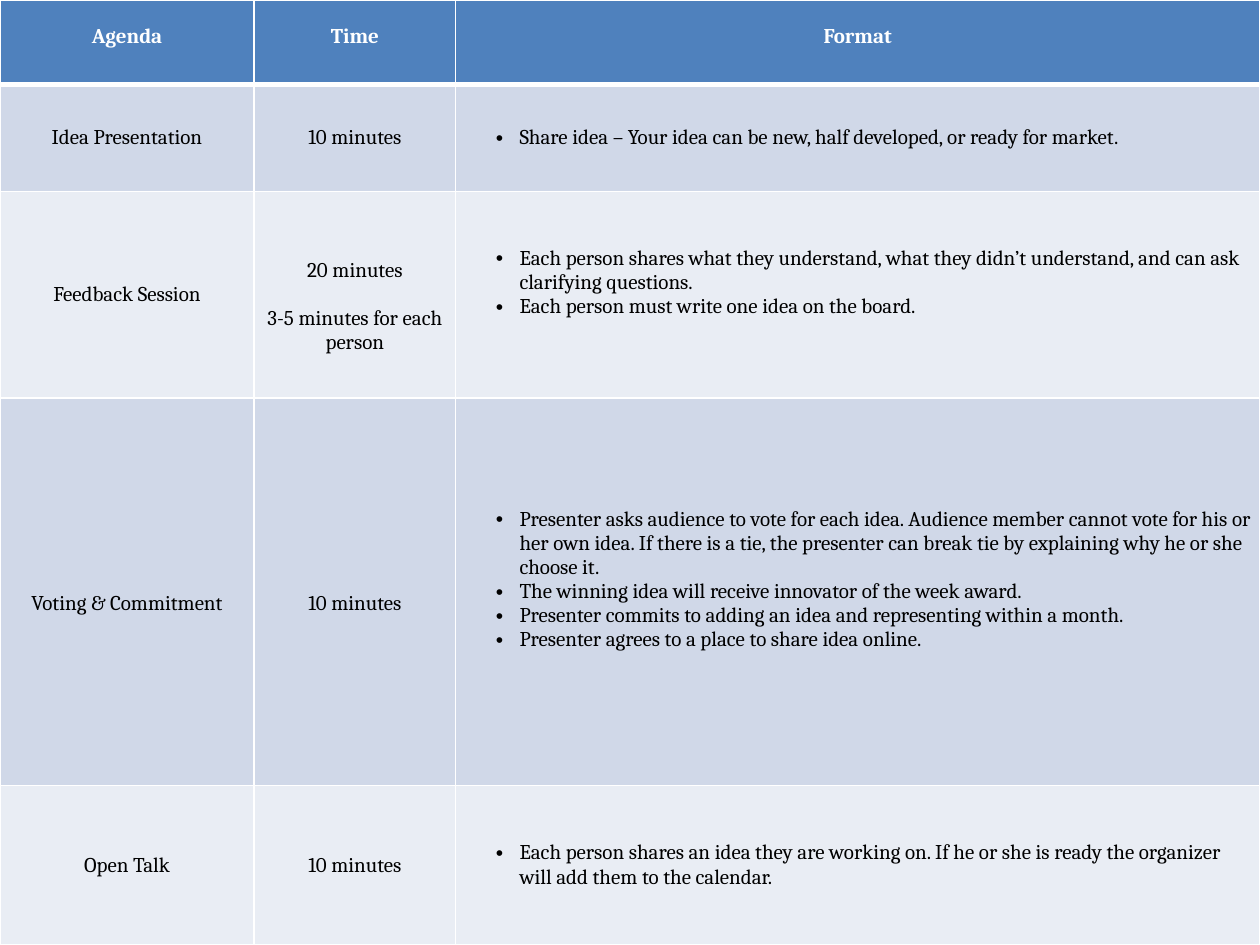
"""Build the one-slide agenda table for an idea-sharing meeting."""
from lxml import etree
from pptx import Presentation
from pptx.dml.color import RGBColor
from pptx.enum.text import MSO_ANCHOR, PP_ALIGN
from pptx.oxml.ns import qn
from pptx.util import Pt

TOP, MIDDLE = MSO_ANCHOR.TOP, MSO_ANCHOR.MIDDLE
LEFT, CENTER, JUSTIFY = PP_ALIGN.LEFT, PP_ALIGN.CENTER, PP_ALIGN.JUSTIFY
COLORS = {"header": "4F81BD", "odd": "D0D8E8", "even": "E9EDF4",
          "border": "FFFFFF", "header_text": "FFFFFF", "text": "000000"}
LINE = 13.8
COLUMN_WIDTHS = [145.2, 115.2, 459.6]
ROW_HEIGHTS = [48.2, 61.2, 118.1, 221.4, 91.1]
AGENDA = [
    [["Agenda"], ["Time"], ["Format"]],
    [["Idea Presentation"], ["10 minutes"],
     ["Share idea – Your idea can be new, half developed, or ready for market."]],
    [["Feedback Session"], ["20 minutes", "3-5 minutes for each person"],
     ["Each person shares what they understand, what they didn’t understand, "
      "and can ask clarifying questions.",
      "Each person must write one idea on the board."]],
    [["Voting & Commitment"], ["10 minutes"],
     ["Presenter asks audience to vote for each idea. Audience member cannot vote "
      "for his or her own idea. If there is a tie, the presenter can break tie by "
      "explaining why he or she choose it.",
      "The winning idea will receive innovator of the week award.",
      "Presenter commits to adding an idea and representing within a month.",
      "Presenter agrees to a place to share idea online."]],
    [["Open Talk"], ["10 minutes"],
     ["Each person shares an idea they are working on. If he or she is ready the "
      "organizer will add them to the calendar."]],
]
TOP_GAPS = {(0, 0), (0, 1), (0, 2), (2, 1), (3, 0), (3, 1)}
BOTTOM_GAPS = {(2, 2), (3, 2)}


def add_border(cell, side, width):
    properties = cell._tc.get_or_add_tcPr()
    line = etree.SubElement(properties, qn(f"a:ln{side}"), w=str(Pt(width)))
    fill = etree.SubElement(line, qn("a:solidFill"))
    etree.SubElement(fill, qn("a:srgbClr"), val=COLORS["border"])


def add_bullet(para):
    properties = para._p.get_or_add_pPr()
    properties.set("marL", str(Pt(31.5)))
    properties.set("indent", str(Pt(-13.5)))
    etree.SubElement(properties, qn("a:buFont"), typeface="Arial")
    etree.SubElement(properties, qn("a:buChar"), char="•")


deck = Presentation()
deck.slide_width, deck.slide_height = Pt(720), Pt(540)
page = deck.slides.add_slide(deck.slide_layouts[6])
table = page.shapes.add_table(
    len(ROW_HEIGHTS), len(COLUMN_WIDTHS), Pt(0), Pt(0), Pt(720), Pt(540)).table
table.horz_banding = False
for column, width in zip(table.columns, COLUMN_WIDTHS):
    column.width = Pt(width)
for row, height in zip(table.rows, ROW_HEIGHTS):
    row.height = Pt(height)

for row_index, row_texts in enumerate(AGENDA):
    is_header = row_index == 0
    band = "header" if is_header else "odd" if row_index % 2 else "even"
    text_color = COLORS["header_text" if is_header else "text"]
    for column_index, texts in enumerate(row_texts):
        place = (row_index, column_index)
        is_list = column_index == 2 and not is_header
        cell = table.cell(*place)
        for side in "LRTB":
            heavy = (row_index, side) in {(0, "B"), (1, "T")}
            add_border(cell, side, 3 if heavy else 1)
        cell.fill.solid()
        cell.fill.fore_color.rgb = RGBColor.from_string(COLORS[band])
        cell.vertical_anchor = TOP if is_header else MIDDLE
        cell.margin_left = cell.margin_right = Pt(5)
        cell.margin_top = Pt(LINE if place in TOP_GAPS else 0)
        cell.margin_bottom = Pt(LINE if place in BOTTOM_GAPS else 0)
        frame = cell.text_frame
        for index, text in enumerate(texts):
            para = frame.add_paragraph() if index else frame.paragraphs[0]
            para.alignment = CENTER
            if is_list:
                para.alignment = JUSTIFY if row_index == 1 else LEFT
                add_bullet(para)
            elif index:
                para.space_before = Pt(LINE)
            span = para.add_run()
            span.text = text
            span.font.name = "Cambria"
            span.font.size = Pt(12)
            span.font.bold = is_header
            span.font.color.rgb = RGBColor.from_string(text_color)

deck.save("out.pptx")
